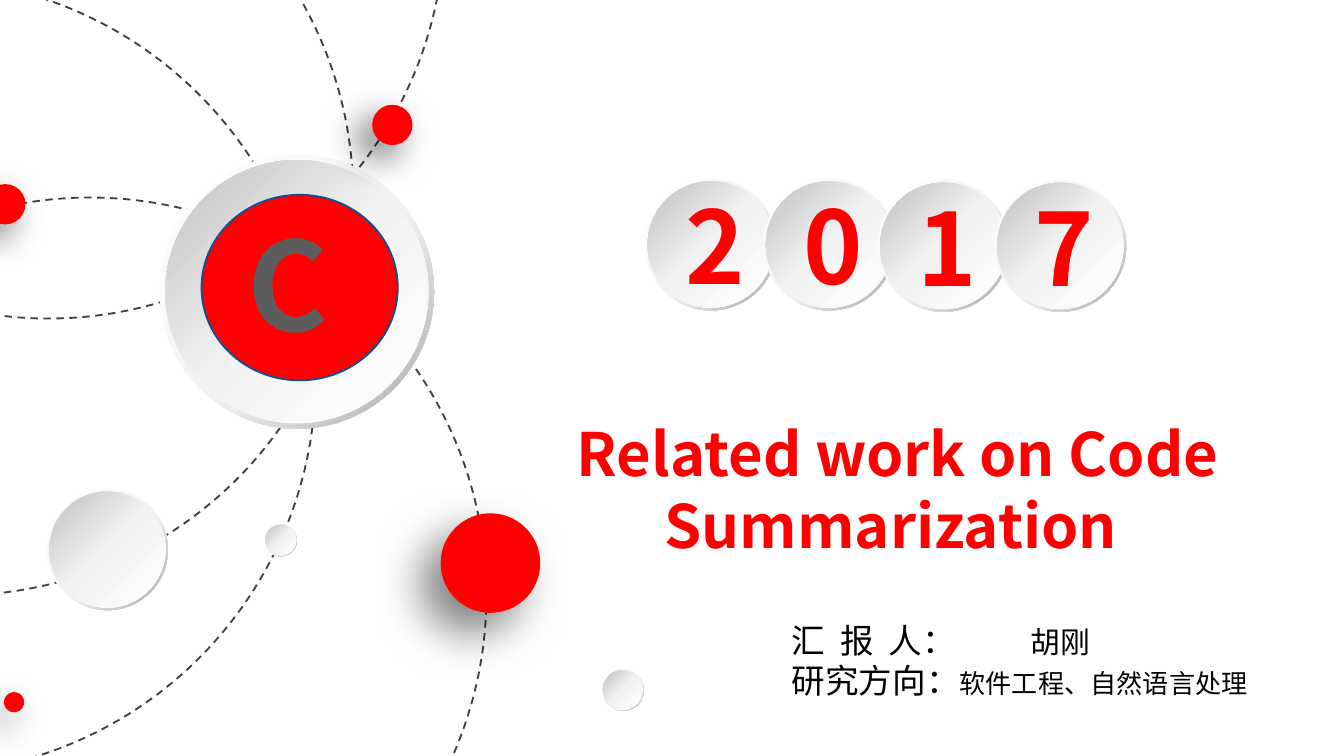
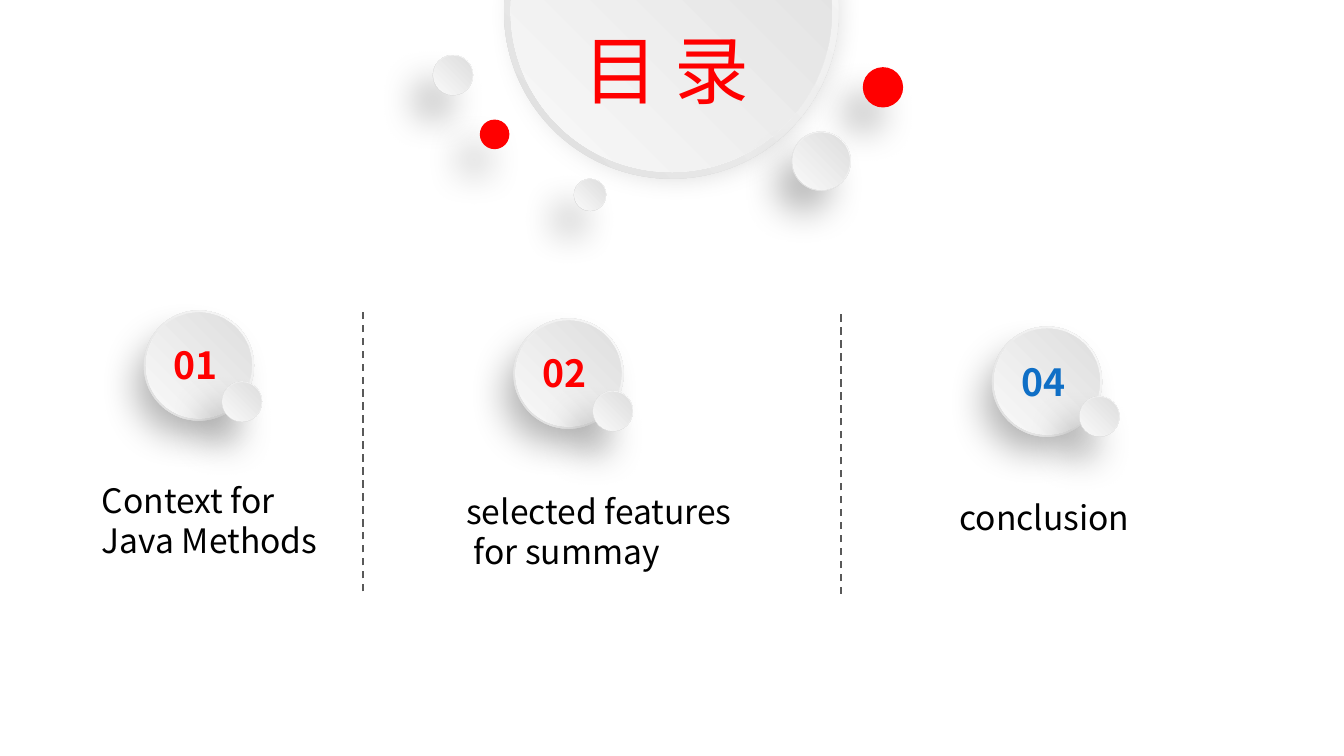
import pptx
import pptx.util
import pptx.oxml
import pptx.dml.color
import pptx.enum.dml
import pptx.enum.shapes
import pptx.enum.text
import pptx.oxml.ns

Inches, Pt = pptx.util.Inches, pptx.util.Pt
RGBColor = pptx.dml.color.RGBColor
SHAPE = pptx.enum.shapes.MSO_SHAPE
ALIGN = pptx.enum.text.PP_ALIGN
AUTO_SIZE = pptx.enum.text.MSO_AUTO_SIZE
DASH = pptx.enum.dml.MSO_LINE.DASH
NAMESPACE = pptx.oxml.ns.nsdecls("a")

SLIDE_WIDTH = Inches(10)
SLIDE_HEIGHT = SLIDE_WIDTH * 9 // 16

FONT = "Noto Sans CJK SC"
RED = RGBColor(0xFF, 0x00, 0x00)
BLUE = RGBColor(0x0F, 0x6F, 0xC6)
NAVY = RGBColor(0x0B, 0x52, 0x92)
BLACK = RGBColor(0x00, 0x00, 0x00)
ORBIT_GRAY = RGBColor(0x40, 0x40, 0x40)
DIVIDER_GRAY = RGBColor(0x59, 0x59, 0x59)

# Gradients: stops as (percent, colour), then the direction
LINEAR = '<a:lin ang="{}" scaled="0"/>'
TOP_RIGHT = '<a:path path="circle"><a:fillToRect l="100000" b="100000"/></a:path>'
RING_GRADIENT = ([(0, "FFFFFF"), (55, "F2F2F2"), (100, "A6A6A6")], LINEAR.format(135 * 60000))
DISC_GRADIENT = ([(0, "FFFFFF"), (51, "F2F2F2"), (100, "BFBFBF")], LINEAR.format(315 * 60000))
RIM_GRADIENT = ([(0, "FFFFFF"), (100, "D9D9D9")], TOP_RIGHT)
FACE_GRADIENT = ([(0, "D9D9D9"), (100, "FEFEFE")], TOP_RIGHT)
LETTER_GRADIENT = ([(0, "555555"), (49, "5D5D5D"), (50, "000000"), (95, "000000"),
                    (100, "000000")], LINEAR.format(90 * 60000))

# Shadows: opacity percent, blur and distance in points, direction in degrees, scale percent
BALL_SHADOW = (50, 25, 15, 135, 100)
DOT_SHADOW = (60, 20, 10, 135, 100)
BUTTON_SHADOW = (30, 20, 19, 130, 90)

INSET = 0.02
BUTTON_TURN = 29.5

# Cover
ORBIT_SIZE = (5.9, 5.92)
ORBITS = [(-2.28, 1.47), (-3.27, -1.49), (-3.55, -0.16), (-2.59, -3.55)]
COINS = [(1.19, 1.15, 2.04), (1.97, 3.9, 0.24), (4.48, 4.98, 0.31), (0.35, 3.64, 0.9)]
RED_BALLS = [
    (3.28, 3.82, 0.74, BALL_SHADOW),
    (2.77, 0.78, 0.3, DOT_SHADOW),
    (-0.11, 1.37, 0.3, DOT_SHADOW),
    (0.03, 5.15, 0.15, DOT_SHADOW),
]
YEAR_COINS = [("2", 4.8, 1.33), ("0", 5.68, 1.33), ("1", 6.53, 1.34), ("7", 7.4, 1.34)]
YEAR_COIN_SIZE = 0.98
COVER_TITLE = "Related work on Code Summarization "
# Runs: text, size and letter spacing in points
PRESENTER = [
    [("汇 报 ", 18, 2), ("人：", 18, 0), (" ", 18, 36), ("胡刚", 16, 0)],
    [("研究方向：", 18, 0), ("软件工程、自然语言处理", 14, 0)],
]

# Contents: left, top, size, whether red
HEADER_BUTTONS = [
    (3.75, -1.16, 2.49, False),
    (3.22, 0.41, 0.3, False),
    (6.42, 0.5, 0.3, True),
    (4.27, 1.33, 0.24, False),
    (5.89, 0.98, 0.44, False),
    (3.57, 0.89, 0.22, True),
]
SECTIONS = [
    {"number": "01", "color": RED, "button": (1.07, 2.31), "dot": (1.65, 2.84),
     "caption": ["Context for", "Java Methods"], "box": (0.66, 3.52, 1.86, 0.71)},
    {"number": "02", "color": RED, "button": (3.82, 2.37), "dot": (4.41, 2.91),
     "caption": ["selected features", " for summay"], "box": (3.37, 3.6, 2.25, 0.71)},
    {"number": "04", "color": BLUE, "button": (7.38, 2.43), "dot": (8.03, 2.95),
     "caption": ["conclusion"], "box": (7.04, 3.65, 1.5, 0.4)},
]
DIVIDERS = [(2.7, 2.29), (6.26, 2.31)]
DIVIDER_LENGTH = 2.11


def gradient_element(gradient):
    stops, direction = gradient
    stop_xml = "".join(f'<a:gs pos="{position * 1000}"><a:srgbClr val="{color}"/></a:gs>'
                       for position, color in stops)
    return pptx.oxml.parse_xml(f'<a:gradFill {NAMESPACE} rotWithShape="1">'
                               f"<a:gsLst>{stop_xml}</a:gsLst>{direction}</a:gradFill>")


def add_shadow(shape, opacity, blur, distance, direction, scale):
    """Fill the empty effect list of a shape with an outer shadow."""
    effects = shape.element.spPr.find(pptx.oxml.ns.qn("a:effectLst"))
    effects.append(pptx.oxml.parse_xml(
        f'<a:outerShdw {NAMESPACE} blurRad="{Pt(blur)}" dist="{Pt(distance)}" '
        f'dir="{direction * 60000}" sx="{scale * 1000}" sy="{scale * 1000}" '
        f'algn="tr" rotWithShape="0"><a:srgbClr val="000000">'
        f'<a:alpha val="{opacity * 1000}"/></a:srgbClr></a:outerShdw>'))


def add_round(slide, left, top, width, height, fill=None, line=None, shadow=None,
              kind=SHAPE.OVAL, flipped=False, rotation=0):
    """Add a round shape; fill is a colour, a gradient or None."""
    shape = slide.shapes.add_shape(kind, *map(Inches, (left, top, width, height)))
    shape.shadow.inherit = False
    shape.rotation = rotation
    if flipped:
        shape.element.spPr.xfrm.set("flipH", "1")
    if isinstance(fill, RGBColor):
        shape.fill.solid()
        shape.fill.fore_color.rgb = fill
    else:
        shape.fill.background()
        if fill:
            no_fill = shape.element.spPr.find(pptx.oxml.ns.qn("a:noFill"))
            shape.element.spPr.replace(no_fill, gradient_element(fill))
    if line:
        shape.line.color.rgb = line
        shape.line.width = Pt(1)
    else:
        shape.line.fill.background()
    if shadow:
        add_shadow(shape, *shadow)
    return shape


def inner_circle(left, top, size):
    margin = size * INSET
    return left + margin, top + margin, size - 2 * margin, size - 2 * margin


def add_coin(slide, left, top, size):
    ring = add_round(slide, left, top, size, size, RING_GRADIENT, kind=SHAPE.DONUT, flipped=True)
    ring.adjustments[0] = 0.05
    add_round(slide, *inner_circle(left, top, size), DISC_GRADIENT, flipped=True)


def add_button(slide, left, top, size, red=False):
    rim, face = (RED, RED) if red else (RIM_GRADIENT, FACE_GRADIENT)
    add_round(slide, left, top, size, size, rim, shadow=BUTTON_SHADOW, rotation=BUTTON_TURN)
    add_round(slide, *inner_circle(left, top, size), face, rotation=BUTTON_TURN)


def write_text(shape, box, paragraphs, size=18, color=BLACK, bold=False,
               align=ALIGN.LEFT, wrap=True):
    """Place a text shape and fill it; a paragraph is a string or a list of runs."""
    shape.left, shape.top, shape.width, shape.height = map(Inches, box)
    frame = shape.text_frame
    frame_format = {"word_wrap": wrap, "auto_size": AUTO_SIZE.SHAPE_TO_FIT_TEXT,
                    "vertical_anchor": pptx.enum.text.MSO_ANCHOR.TOP}
    for name, value in frame_format.items():
        setattr(frame, name, value)
    for index, runs in enumerate(paragraphs):
        paragraph = frame.add_paragraph() if index else frame.paragraphs[0]
        paragraph.alignment = align
        paragraph.space_before = Pt(0)
        for text, run_size, spacing in [(runs, size, 0)] if isinstance(runs, str) else runs:
            run = paragraph.add_run()
            run.text = text
            run_format = {"name": FONT, "size": Pt(run_size), "bold": bold}
            for name, value in run_format.items():
                setattr(run.font, name, value)
            run.font.color.rgb = color
            properties = run.font._element
            if spacing:
                properties.set("spc", str(spacing * 100))
            latin = properties.find(pptx.oxml.ns.qn("a:latin"))
            latin.addnext(pptx.oxml.parse_xml(f'<a:ea {NAMESPACE} typeface="{FONT}"/>'))


def add_text(slide, box, paragraphs, **text_format):
    text_box = slide.shapes.add_textbox(0, 0, 0, 0)
    write_text(text_box, box, paragraphs, **text_format)
    return text_box


def bring_to_front(shape):
    shape.element.getparent().append(shape.element)


def style_letter(shape):
    """Give the letter its gradient and a white outline."""
    properties = shape.text_frame.paragraphs[0].runs[0].font._element
    solid = properties.find(pptx.oxml.ns.qn("a:solidFill"))
    properties.replace(solid, gradient_element(LETTER_GRADIENT))
    properties.insert(0, pptx.oxml.parse_xml(
        f'<a:ln {NAMESPACE} w="{Pt(1.4)}"><a:solidFill><a:srgbClr val="FFFFFF"/>'
        "</a:solidFill></a:ln>"))


def build_cover(presentation):
    slide = presentation.slides.add_slide(presentation.slide_layouts[0])
    for left, top in ORBITS:
        orbit = add_round(slide, left, top, *ORBIT_SIZE, line=ORBIT_GRAY, flipped=True)
        orbit.line.dash_style = DASH
    for coin in COINS:
        add_coin(slide, *coin)
    for left, top, size, shadow in RED_BALLS:
        add_round(slide, left, top, size, size, RED, shadow=shadow, flipped=True)
    for digit, left, top in YEAR_COINS:
        add_coin(slide, left, top, YEAR_COIN_SIZE)
        add_text(slide, (left + 0.2, top - 0.01, 0.63, 1.01), [digit],
                 size=54, color=RED, bold=True)

    title, presenter = slide.placeholders
    write_text(title, (3.75, 3.05, 5.86, 1.18), [COVER_TITLE],
               size=32, color=RED, bold=True, align=ALIGN.CENTER)
    write_text(presenter, (5.79, 4.56, 3.78, 1.01), PRESENTER)
    bring_to_front(title)
    bring_to_front(presenter)

    add_round(slide, 1.5, 1.45, 1.46, 1.38, RED, line=NAVY, kind=SHAPE.FLOWCHART_CONNECTOR)
    letter = add_text(slide, (1.55, 1.5, 1.19, 1.21), ["C"],
                      size=66, bold=True, align=ALIGN.CENTER)
    style_letter(letter)


def build_contents(presentation):
    slide = presentation.slides.add_slide(presentation.slide_layouts[5])
    for button in HEADER_BUTTONS:
        add_button(slide, *button)
    write_text(slide.shapes.title, (4.24, 0.13, 1.56, 0.77), ["目 录"], size=40, color=RED)
    bring_to_front(slide.shapes.title)

    for section in SECTIONS:
        left, top = section["button"]
        add_button(slide, left, top, 0.82)
        add_text(slide, (left + 0.12, top + 0.19, 0.58, 0.44), [section["number"]],
                 size=20, color=section["color"], bold=True)
        add_button(slide, *section["dot"], 0.3)
        add_text(slide, section["box"], section["caption"], wrap=False)

    for left, top in DIVIDERS:
        divider = slide.shapes.add_connector(
            pptx.enum.shapes.MSO_CONNECTOR.STRAIGHT,
            *map(Inches, (left, top + DIVIDER_LENGTH, left, top)))
        divider.line.color.rgb = DIVIDER_GRAY
        divider.line.width = Pt(1)
        divider.line.dash_style = DASH
        divider.element.spPr.append(pptx.oxml.parse_xml(f"<a:effectLst {NAMESPACE}/>"))


def main():
    presentation = pptx.Presentation()
    presentation.slide_width, presentation.slide_height = SLIDE_WIDTH, SLIDE_HEIGHT
    build_cover(presentation)
    build_contents(presentation)
    presentation.save("out.pptx")


if __name__ == "__main__":
    main()
